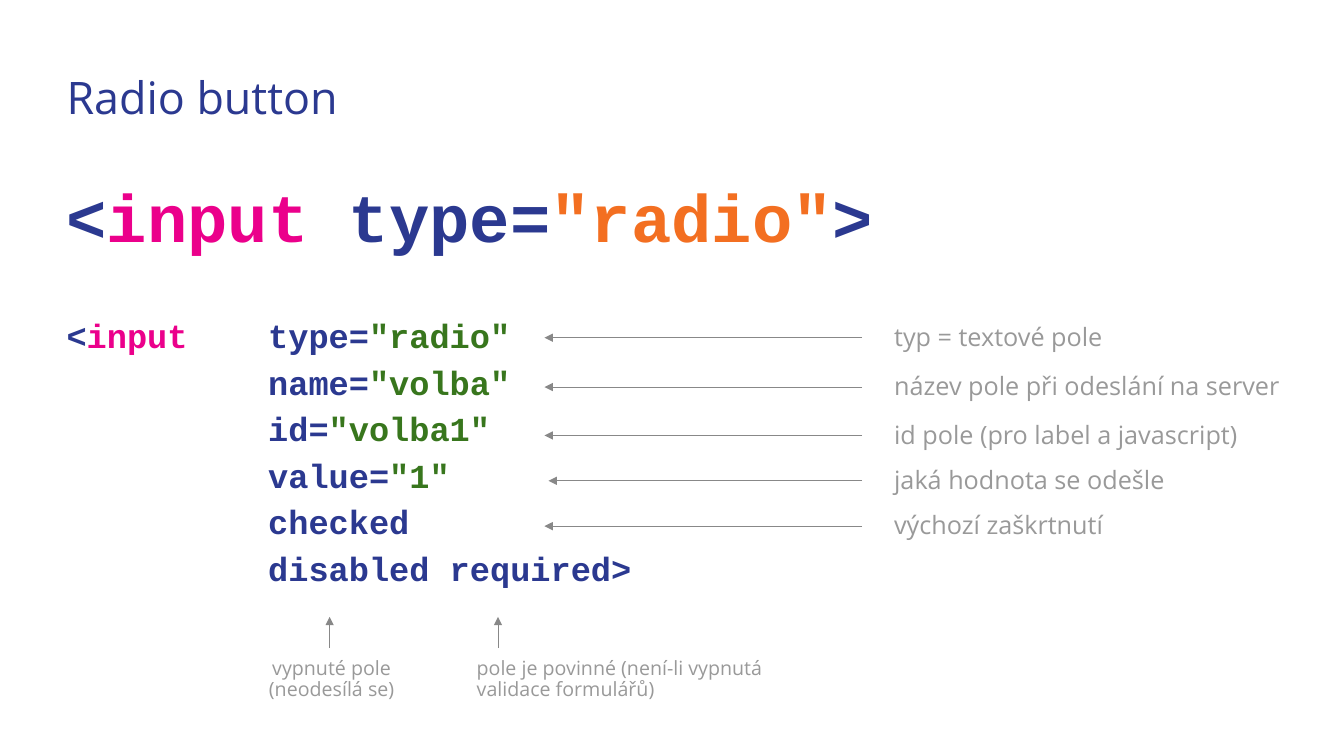
from lxml import etree
from pptx import Presentation
from pptx.dml.color import RGBColor
from pptx.enum import shapes, text
from pptx.oxml import ns
from pptx.util import Inches, Pt

COLORS = {
    "navy": "2B3990",
    "pink": "EB008B",
    "orange": "F36F21",
    "green": "38761D",
    "label": "999999",
    "arrow": "888888",
}
CODE_FONT, TEXT_FONT = "Courier New", "Open Sans"
MARGIN, CONTENT_WIDTH = 0.66, 12.01

HEADING = [("<", "navy"), ("input", "pink"), (" type=", "navy"),
           ('"radio"', "orange"), (">", "navy")]
CODE_LINES = [
    [("<", "navy"), ("input", "pink"), (" \ttype=", "navy"), ('"radio"', "green")],
    [("\tname=", "navy"), ('"volba"', "green")],
    [("\tid=", "navy"), ('"volba1"', "green")],
    [("\tvalue=", "navy"), ('"1"', "green")],
    [("\tchecked", "navy")],
    [("\tdisabled required>", "navy")],
]
# Label top, arrow tip, wording
ATTRIBUTE_NOTES = [
    (3.12, 5.4, "typ = textové pole"),
    (3.61, 5.4, "název pole při odeslání na server"),
    (4.09, 5.4, "id pole (pro label a javascript)"),
    (4.54, 5.44, "jaká hodnota se odešle"),
    (4.99, 5.4, "výchozí zaškrtnutí"),
]
# Caption left, width, alignment, arrow x, wording
FLAG_NOTES = [
    (1.86, 2.86, text.PP_ALIGN.CENTER, 3.27, "vypnuté pole\v(neodesílá se)"),
    (4.63, 3.47, text.PP_ALIGN.LEFT, 4.94,
     "pole je povinné (není-li vypnutá validace formulářů)"),
]


def color(name):
    return RGBColor.from_string(COLORS[name])


def set_font(p, name, size, color_name=None, bold=False):
    p.font.name, p.font.size, p.font.bold = name, Pt(size), bold
    if color_name:
        p.font.color.rgb = color(color_name)


def set_frame(tf, left, top, right, bottom):
    tf.word_wrap = True
    tf.auto_size = text.MSO_AUTO_SIZE.NONE
    tf.vertical_anchor = text.MSO_ANCHOR.TOP
    tf.margin_left, tf.margin_top = Inches(left), Inches(top)
    tf.margin_right, tf.margin_bottom = Inches(right), Inches(bottom)


def add_box(s, left, top, width, height):
    return s.shapes.add_textbox(Inches(left), Inches(top),
                                Inches(width), Inches(height)).text_frame


def add_title(s, wording):
    title = s.shapes.title
    title.left, title.top = Inches(MARGIN), Inches(0.64)
    title.width, title.height = Inches(CONTENT_WIDTH), Inches(0.66)
    tf = title.text_frame
    set_frame(tf, 0, 0.05, 0.13, 0)
    p = tf.paragraphs[0]
    p.text, p.alignment, p.line_spacing = wording, text.PP_ALIGN.LEFT, 1.0
    set_font(p, TEXT_FONT, 32, "navy")


def fill_code(p, tokens, size):
    for wording, color_name in tokens:
        r = p.add_run()
        r.text = wording
        r.font.color.rgb = color(color_name)
    set_font(p, CODE_FONT, size, bold=True)


def add_code(s):
    tf = add_box(s, MARGIN, 1.49, CONTENT_WIDTH, 5.07)
    set_frame(tf, 0, 0.25, 0, 0)
    fill_code(tf.paragraphs[0], HEADING, 48)
    for i, tokens in enumerate(CODE_LINES):
        p = tf.add_paragraph()
        p.line_spacing = Pt(33.2)
        p.space_before = Pt(0 if i else 38)
        # Attributes line up on one tab stop
        tabs = etree.SubElement(p._p.get_or_add_pPr(), ns.qn("a:tabLst"))
        etree.SubElement(tabs, ns.qn("a:tab"), pos=str(Inches(2)), algn="l")
        fill_code(p, tokens, 24)


def add_note(s, left, top, width, wording, size, align=text.PP_ALIGN.LEFT):
    tf = add_box(s, left, top, width, 0.45)
    set_frame(tf, 0.1, 0.1, 0.1, 0.1)
    p = tf.paragraphs[0]
    p.text, p.alignment, p.line_spacing = wording, align, 0.9
    set_font(p, TEXT_FONT, size, "label")


def add_arrow(s, x1, y1, x2, y2):
    arrow = s.shapes.add_connector(shapes.MSO_CONNECTOR.STRAIGHT, Inches(x1),
                                   Inches(y1), Inches(x2), Inches(y2))
    arrow.line.color.rgb = color("arrow")
    arrow.line.width = Pt(0.75)
    etree.SubElement(arrow.line._get_or_add_ln(), ns.qn("a:tailEnd"), type="triangle")
    etree.SubElement(arrow._element.spPr, ns.qn("a:effectLst"))


def main():
    prs = Presentation()
    prs.slide_width, prs.slide_height = Inches(13.33), Inches(7.5)
    s = prs.slides.add_slide(prs.slide_layouts[5])

    add_title(s, "Radio button")
    add_code(s)

    # Notes to the right of the attributes
    for top, tip, wording in ATTRIBUTE_NOTES:
        add_note(s, 8.77, top, 4.26, wording, 18)
        add_arrow(s, 8.55, top + 0.23, tip, top + 0.23)

    # Captions under the last code line
    for left, width, align, x, wording in FLAG_NOTES:
        add_note(s, left, 6.43, width, wording, 14, align)
        add_arrow(s, x, 6.43, x, 6.12)

    prs.save("out.pptx")


if __name__ == "__main__":
    main()
